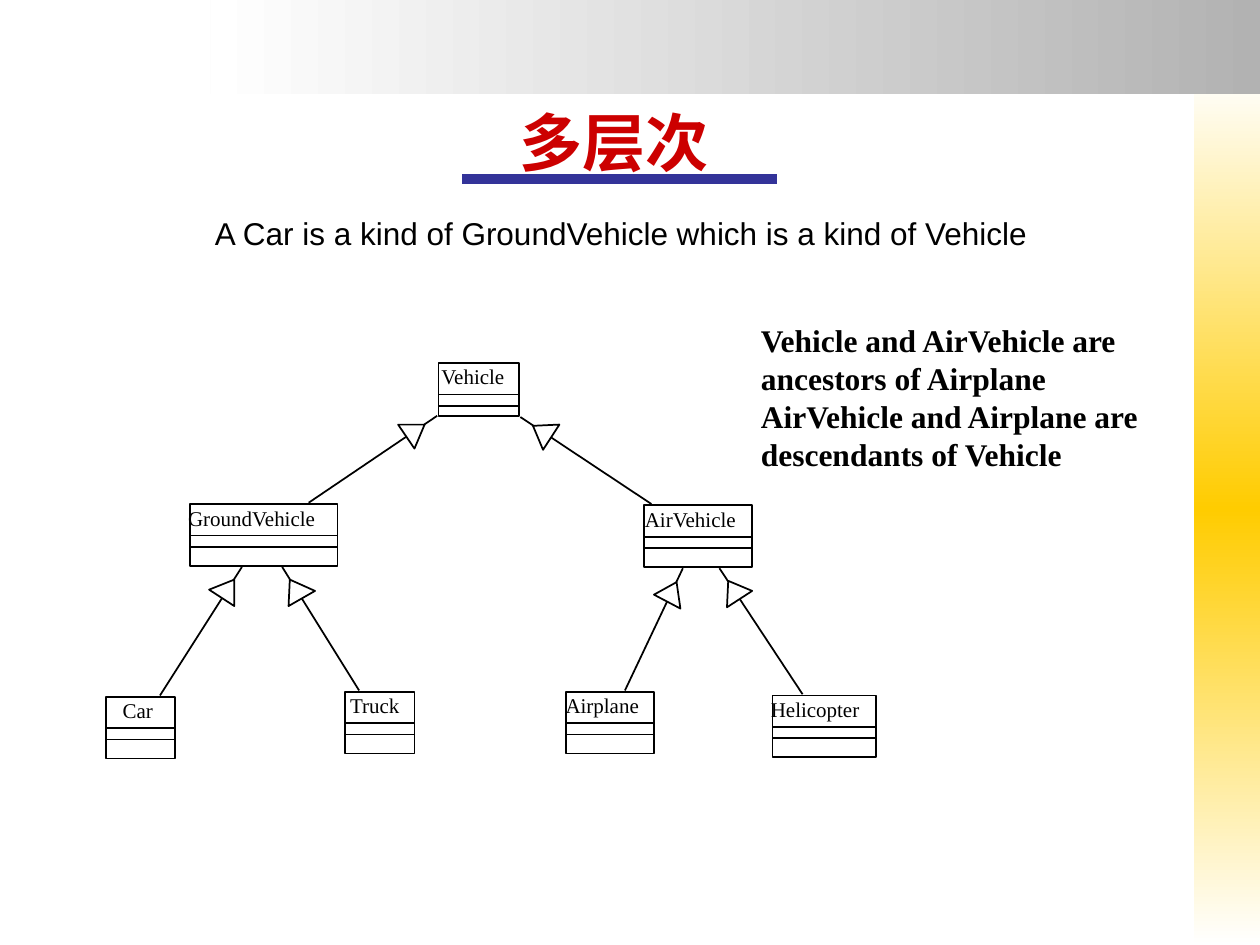
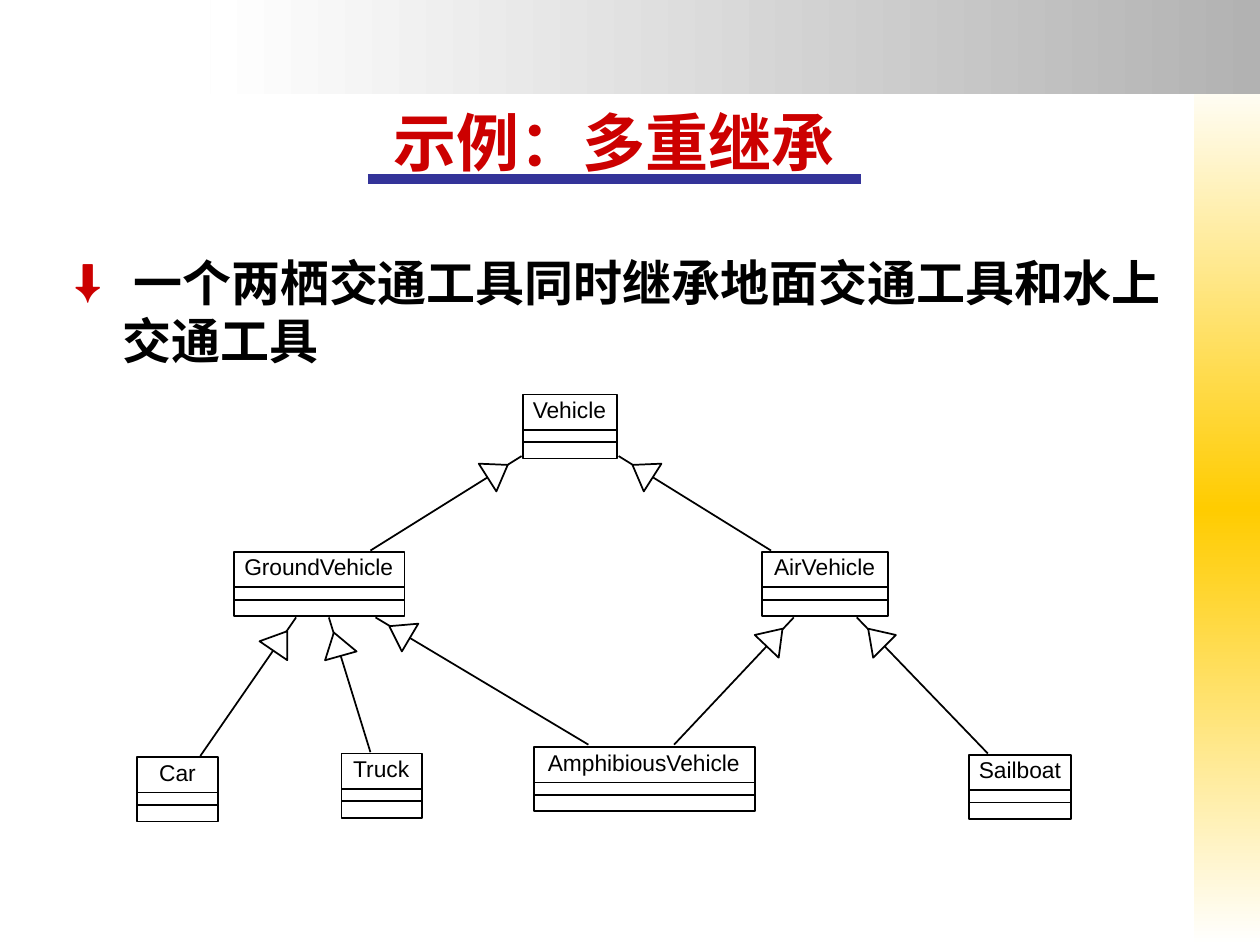
"""Builds two slides of class hierarchy diagrams for vehicle inheritance."""
import math

import lxml.etree
import pptx
import pptx.dml.color
import pptx.enum.shapes
import pptx.enum.text
import pptx.oxml.ns
import pptx.util

SCALE = 9144
COLORS = {
    "title": "CC0000",
    "rule": "333399",
    "ink": "000000",
    "paper": "FFFFFF",
    "gold": "FFCC00",
    "gray": "B2B2B2",
}
SERIF = "Times New Roman"
SANS = "Arial"
qn = pptx.oxml.ns.qn


def px(length):
    return pptx.util.Emu(round(length * SCALE))


def rgb(name):
    return pptx.dml.color.RGBColor.from_string(COLORS[name])


class Deck:
    """Holds the presentation, the current slide and its diagram style."""

    def __init__(self):
        self.presentation = pptx.Presentation()
        self.presentation.slide_width = px(1000)
        self.presentation.slide_height = px(750)
        self.slide = None

    def start_slide(self, layout_index, font, size, dividers, marker):
        layout = self.presentation.slide_layouts[layout_index]
        self.slide = self.presentation.slides.add_slide(layout)
        self.font, self.size = font, size
        self.dividers, self.marker = dividers, marker

    def master_band(self, left, top, width, height, angle, stops):
        shape = self.slide.shapes.add_shape(
            pptx.enum.shapes.MSO_SHAPE.RECTANGLE, px(left), px(top), px(width), px(height))
        shape.shadow.inherit = False
        shape.line.fill.background()
        shape.fill.gradient()
        shape.fill.gradient_angle = angle
        stop_list = shape._element.spPr.find(qn("a:gradFill")).find(qn("a:gsLst"))
        stop_list.clear()
        for position, color in stops:
            stop = lxml.etree.SubElement(stop_list, qn("a:gs"), pos=str(position * 1000))
            lxml.etree.SubElement(stop, qn("a:srgbClr"), val=COLORS[color])
        master_tree = self.presentation.slide_master.shapes._spTree
        shape._element.nvSpPr.cNvPr.set("id", str(len(master_tree) + 20))
        master_tree.insert(2, shape._element)

    def place(self, shape, left, top, width, height):
        shape.left, shape.top = px(left), px(top)
        shape.width, shape.height = px(width), px(height)

    def format_runs(self, paragraph, font, size, color="ink", bold=False):
        for run in paragraph.runs:
            run.font.name = font
            run.font.size = pptx.util.Pt(size)
            run.font.bold = bold
            run.font.color.rgb = rgb(color)

    def clear_margins(self, frame):
        frame.margin_left = frame.margin_right = 0
        frame.margin_top = frame.margin_bottom = 0
        frame.auto_size = pptx.enum.text.MSO_AUTO_SIZE.NONE

    def title(self, text, top, rule_left, rule_right):
        shape = self.slide.shapes.title
        self.place(shape, 33, top, 908, 142 - top)
        frame = shape.text_frame
        frame.text = text
        self.clear_margins(frame)
        frame.vertical_anchor = pptx.enum.text.MSO_ANCHOR.BOTTOM
        paragraph = frame.paragraphs[0]
        paragraph.alignment = pptx.enum.text.PP_ALIGN.CENTER
        self.format_runs(paragraph, SERIF, 36, "title", True)
        self.line((rule_left, 142), (rule_right, 142), "rule", 5.5)

    def bullet(self, text):
        shape = self.slide.placeholders[1]
        self.place(shape, 50, 200, 892, 93)
        frame = shape.text_frame
        frame.text = text
        self.clear_margins(frame)
        paragraph = frame.paragraphs[0]
        paragraph.space_before = pptx.util.Pt(0)
        properties = paragraph._p.get_or_add_pPr()
        properties.set("marL", str(px(47)))
        properties.set("indent", str(px(-38)))
        color = lxml.etree.SubElement(properties, qn("a:buClr"))
        lxml.etree.SubElement(color, qn("a:srgbClr"), val=COLORS["title"])
        lxml.etree.SubElement(properties, qn("a:buSzPct"), val="90000")
        lxml.etree.SubElement(properties, qn("a:buChar"), char="⬇")
        self.format_runs(paragraph, SERIF, 28, bold=True)

    def text(self, text, left, top, width, height, font, size, bold=False):
        shape = self.slide.shapes.add_textbox(px(left), px(top), px(width), px(height))
        frame = shape.text_frame
        frame.word_wrap = False
        frame.text = text
        for paragraph in frame.paragraphs:
            self.format_runs(paragraph, font, size, bold=bold)
        return frame

    def caption(self, text):
        frame = self.text(text, 50, 175, 886, 25, SANS, 18)
        self.clear_margins(frame)
        frame.word_wrap = True
        paragraph = frame.paragraphs[0]
        paragraph.alignment = pptx.enum.text.PP_ALIGN.CENTER
        paragraph.line_spacing = pptx.util.Pt(18)

    def line(self, start, end, color="ink", weight=1):
        connector = self.slide.shapes.add_connector(
            pptx.enum.shapes.MSO_CONNECTOR.STRAIGHT, *map(px, start + end))
        connector.line.color.rgb = rgb(color)
        connector.line.width = pptx.util.Pt(weight)
        lxml.etree.SubElement(connector._element.spPr, qn("a:effectLst"))

    def class_box(self, name, left, top, width, height, name_width):
        shape = self.slide.shapes.add_shape(
            pptx.enum.shapes.MSO_SHAPE.RECTANGLE, px(left), px(top), px(width), px(height))
        shape.shadow.inherit = False
        shape.fill.background()
        shape.line.color.rgb = rgb("ink")
        shape.line.width = pptx.util.Pt(1)
        name_left = left + (width - name_width) / 2
        self.text(name, name_left, top - 4, name_width, 30, self.font, self.size)
        for offset in self.dividers:
            self.line((left, top + offset), (left + width, top + offset))

    def inheritance(self, child, parent):
        self.line(child, parent)
        distance = math.dist(child, parent)
        across = (parent[0] - child[0]) / distance
        down = (parent[1] - child[1]) / distance

        def point(back, side):
            return (round(parent[0] - across * back - down * side),
                    round(parent[1] - down * back + across * side))

        base = self.marker * 2.45
        tip = point(self.marker, 0)
        builder = self.slide.shapes.build_freeform(*tip, scale=SCALE)
        builder.add_line_segments([point(base, self.marker), point(base, -self.marker)], close=True)
        triangle = builder.convert_to_shape()
        triangle.shadow.inherit = False
        triangle.fill.solid()
        triangle.fill.fore_color.rgb = rgb("paper")
        triangle.line.color.rgb = rgb("ink")
        triangle.line.width = pptx.util.Pt(1)

    def diagram(self, classes, links):
        for entry in classes:
            self.class_box(*entry)
        for child, parent in links:
            self.inheritance(child, parent)


def build_levels(deck):
    deck.start_slide(5, SERIF, 12, (25, 34), 12)
    deck.master_band(167, 0, 833, 75, 180, [(0, "gray"), (100, "paper")])
    deck.master_band(948, 58, 52, 692, 90, [(0, "paper"), (50, "gold"), (100, "paper")])
    deck.title("多层次", 17, 367, 617)
    deck.caption("A Car is a kind of GroundVehicle which is a kind of Vehicle")
    deck.text("Vehicle and AirVehicle are\nancestors of Airplane\n"
              "AirVehicle and Airplane are\ndescendants of Vehicle",
              594, 250, 382, 130, SERIF, 18, True)
    deck.diagram(
        [("Vehicle", 348, 288, 64, 42, 79),
         ("GroundVehicle", 151, 400, 117, 49, 140),
         ("AirVehicle", 511, 401, 86, 49, 104),
         ("Car", 84, 553, 55, 49, 48),
         ("Truck", 274, 549, 55, 49, 67),
         ("Airplane", 449, 549, 70, 49, 90),
         ("Helicopter", 613, 552, 82, 49, 104)],
        [((245, 399), (347, 330)),
         ((517, 400), (413, 331)),
         ((127, 552), (192, 450)),
         ((285, 548), (224, 450)),
         ((496, 548), (542, 451)),
         ((637, 551), (571, 451))])


def build_multiple_inheritance(deck):
    deck.start_slide(1, SANS, 13, (28, 38), 13)
    deck.title("示例：多重继承", 42, 292, 683)
    deck.bullet(" 一个两栖交通工具同时继承地面交通工具和水上交通工具")
    deck.diagram(
        [("Vehicle", 415, 313, 75, 51, 79),
         ("GroundVehicle", 186, 438, 135, 51, 139),
         ("AirVehicle", 605, 438, 100, 51, 101),
         ("Car", 109, 601, 64, 51, 49),
         ("Truck", 271, 598, 64, 51, 65),
         ("AmphibiousVehicle", 424, 593, 175, 51, 173),
         ("Sailboat", 769, 599, 81, 51, 85)],
        [((294, 437), (414, 362)),
         ((612, 437), (491, 362)),
         ((159, 600), (235, 490)),
         ((294, 597), (261, 490)),
         ((784, 598), (680, 490)),
         ((467, 591), (298, 490)),
         ((535, 591), (630, 490))])


def main():
    deck = Deck()
    build_levels(deck)
    build_multiple_inheritance(deck)
    deck.presentation.save("out.pptx")


if __name__ == "__main__":
    main()
